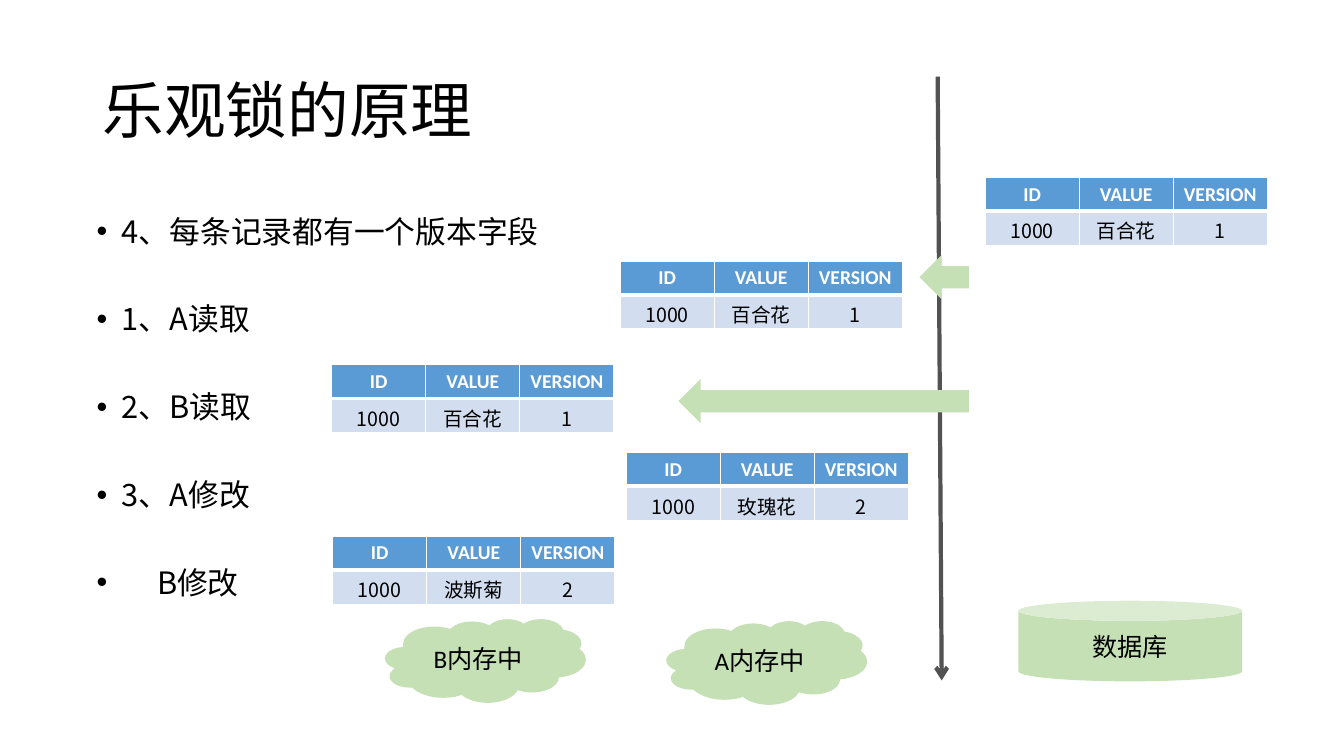
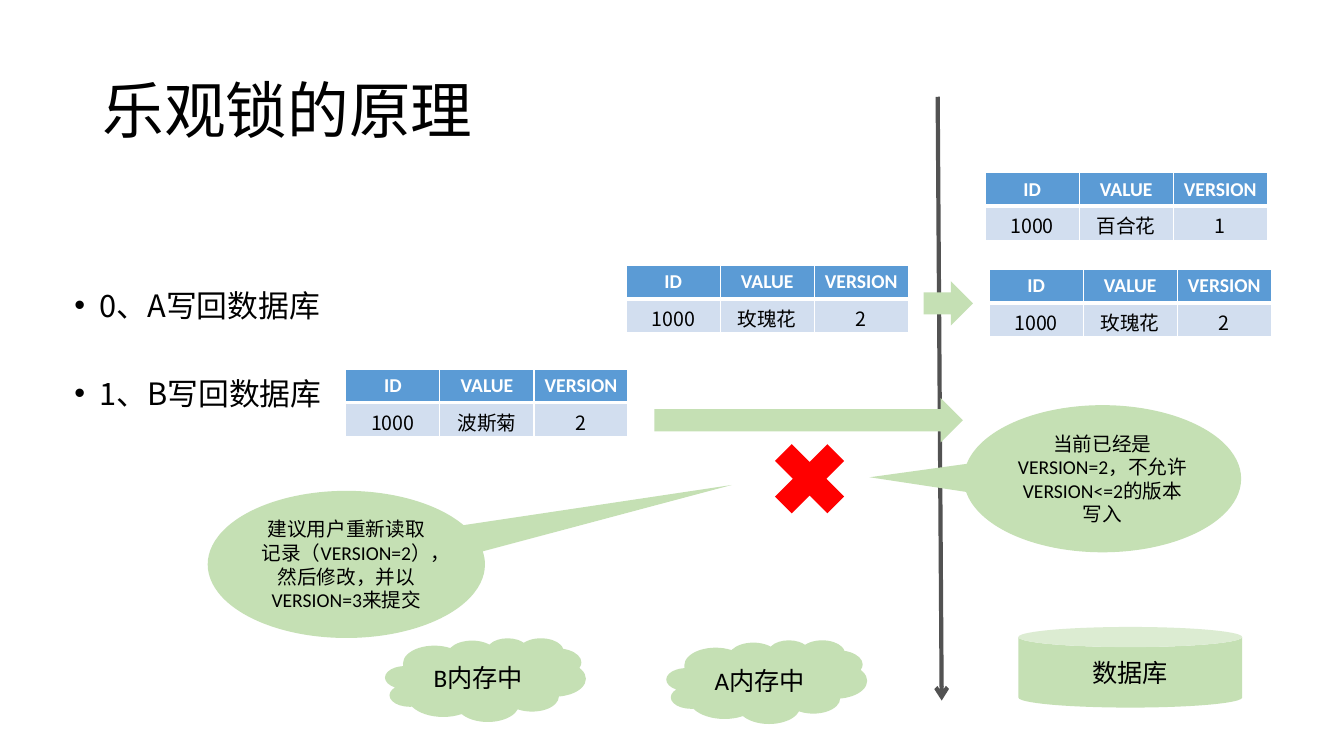
from pptx import Presentation
from pptx.dml.color import RGBColor
from pptx.enum.shapes import MSO_CONNECTOR, MSO_SHAPE
from pptx.enum.text import MSO_ANCHOR, PP_ALIGN
from pptx.oxml.ns import qn
from pptx.util import Inches, Pt
from lxml.etree import SubElement

COLORS = {
    "black": "000000",
    "white": "FFFFFF",
    "header": "5B9BD5",
    "row": "D2DEEF",
    "green": "C5E0B4",
    "timeline": "525252",
    "red": "FF0000",
}
LATIN = "Calibri"
CHINESE = "Noto Sans CJK SC"
FIELDS = ("ID", "VALUE", "VERSION")
TABLE_WIDTH = 2.8
ROW_HEIGHTS = (0.33, 0.34)


def rgb(name):
    return RGBColor.from_string(COLORS[name])


def write_text(paragraph, text, size=14, font=LATIN, color="black", bold=False,
               align=PP_ALIGN.CENTER, line_spacing=None, space_before=None):
    paragraph.alignment = align
    if line_spacing is not None:
        paragraph.line_spacing = line_spacing
    if space_before is not None:
        paragraph.space_before = Pt(space_before)
    run = paragraph.add_run()
    run.text = text
    run.font.size = Pt(size)
    run.font.bold = bold
    run.font.name = font
    run.font.color.rgb = rgb(color)
    SubElement(run._r.get_or_add_rPr(), qn("a:ea"), typeface=CHINESE)


def add_text_frame(slide, left, top, width, height):
    box = slide.shapes.add_textbox(Inches(left), Inches(top), Inches(width), Inches(height))
    box.text_frame.word_wrap = True
    return box.text_frame


def add_title(slide, text):
    frame = add_text_frame(slide, 0.92, 0.4, 11.5, 1.45)
    frame.vertical_anchor = MSO_ANCHOR.MIDDLE
    write_text(frame.paragraphs[0], text, size=44, font=CHINESE,
               align=PP_ALIGN.LEFT, line_spacing=0.9)


def add_bullets(slide, left, top, items):
    frame = add_text_frame(slide, left, top, 11.5, 4.76)
    for index, (text, indent) in enumerate(items):
        paragraph = frame.add_paragraph() if index else frame.paragraphs[0]
        write_text(paragraph, text, size=22, font=CHINESE, align=PP_ALIGN.LEFT,
                   line_spacing=2.0, space_before=10)
        properties = paragraph._p.get_or_add_pPr()
        properties.set("marL", str(Inches(indent)))
        properties.set("indent", str(-Inches(indent)))
        SubElement(properties, qn("a:buFont"), typeface="Arial")
        SubElement(properties, qn("a:buChar"), char="•")


def set_borders(cell, bottom_width):
    properties = cell._tc.get_or_add_tcPr()
    for side, width in (("L", 1), ("R", 1), ("T", 1), ("B", bottom_width)):
        line = SubElement(properties, qn(f"a:ln{side}"), w=str(Pt(width)))
        fill = SubElement(line, qn("a:solidFill"))
        SubElement(fill, qn("a:srgbClr"), val=COLORS["white"])


def add_record(slide, left, top, value, version):
    frame = slide.shapes.add_table(2, len(FIELDS), Inches(left), Inches(top),
                                   Inches(TABLE_WIDTH), Inches(sum(ROW_HEIGHTS)))
    table = frame.table
    table.horz_banding = False
    for row, height in zip(table.rows, ROW_HEIGHTS):
        row.height = Inches(height)
    header_style = {"color": "white", "bold": True}
    rows = (
        (FIELDS, "header", 3, header_style),
        (("1000", value, version), "row", 1, {"font": CHINESE}),
    )
    for row_index, (texts, fill, bottom_width, style) in enumerate(rows):
        for column_index, text in enumerate(texts):
            cell = table.cell(row_index, column_index)
            cell.margin_left = cell.margin_right = Inches(0.05)
            set_borders(cell, bottom_width)
            cell.fill.solid()
            cell.fill.fore_color.rgb = rgb(fill)
            write_text(cell.text_frame.paragraphs[0], text, **style)


def add_figure(slide, kind, left, top, width, height, fill="green", text=None, size=18):
    shape = slide.shapes.add_shape(kind, Inches(left), Inches(top), Inches(width), Inches(height))
    shape.shadow.inherit = False
    shape.fill.solid()
    shape.fill.fore_color.rgb = rgb(fill)
    shape.line.fill.background()
    if text:
        shape.text_frame.word_wrap = True
        shape.text_frame.vertical_anchor = MSO_ANCHOR.MIDDLE
        write_text(shape.text_frame.paragraphs[0], text, size=size)
    return shape


def add_arrow(slide, left, top, width, rotation=0):
    arrow = add_figure(slide, MSO_SHAPE.RIGHT_ARROW, left, top, width, 0.44)
    arrow.rotation = rotation


def add_callout(slide, left, top, tip, text):
    callout = add_figure(slide, MSO_SHAPE.OVAL_CALLOUT, left, top, 2.75, 1.46,
                         text=text, size=14)
    callout.adjustments[0], callout.adjustments[1] = tip


def add_timeline(slide, top):
    connector = slide.shapes.add_connector(MSO_CONNECTOR.STRAIGHT, Inches(9.3), Inches(top),
                                           Inches(9.34), Inches(top + 5.99))
    connector.line.color.rgb = rgb("timeline")
    connector.line.width = Pt(3)
    SubElement(connector.line._get_or_add_ln(), qn("a:tailEnd"), type="arrow")
    SubElement(connector._element.spPr, qn("a:effectLst"))


def add_lock_slide(presentation, timeline_top, database_top, cloud_top):
    slide = presentation.slides.add_slide(presentation.slide_layouts[6])
    add_title(slide, "乐观锁的原理")
    add_timeline(slide, timeline_top)
    add_figure(slide, MSO_SHAPE.CAN, 10.1, database_top, 2.22, 0.8, text="数据库")
    add_figure(slide, MSO_SHAPE.CLOUD, 6.61, cloud_top + 0.02, 1.99, 0.83, text="A内存中")
    add_figure(slide, MSO_SHAPE.CLOUD, 3.82, cloud_top, 1.99, 0.83, text="B内存中")
    return slide


def build_read_slide(presentation):
    slide = add_lock_slide(presentation, 0.76, 5.96, 6.14)
    add_bullets(slide, 0.86, 1.69, (
        ("4、每条记录都有一个版本字段", 0.25),
        ("1、A读取", 0.25),
        ("2、B读取", 0.25),
        ("3、A修改", 0.25),
        ("B修改", 0.6),
    ))
    add_arrow(slide, 9.12, 2.53, 0.49, rotation=180)
    add_arrow(slide, 6.73, 3.76, 2.88, rotation=180)
    for record in (
        (9.77, 1.76, "百合花", "1"),
        (6.15, 2.59, "百合花", "1"),
        (3.29, 3.62, "百合花", "1"),
        (6.21, 4.49, "玫瑰花", "2"),
        (3.3, 5.32, "波斯菊", "2"),
    ):
        add_record(slide, *record)


def build_write_slide(presentation):
    slide = add_lock_slide(presentation, 0.96, 6.22, 6.33)
    add_bullets(slide, 0.64, 2.43, (
        ("0、A写回数据库", 0.25),
        ("1、B写回数据库", 0.25),
    ))
    add_arrow(slide, 9.16, 2.79, 0.49)
    add_arrow(slide, 6.49, 3.95, 3.06)
    for record in (
        (9.77, 1.71, "百合花", "1"),
        (6.21, 2.63, "玫瑰花", "2"),
        (3.43, 3.66, "波斯菊", "2"),
        (9.81, 2.67, "玫瑰花", "2"),
    ):
        add_record(slide, *record)
    add_figure(slide, MSO_SHAPE.MATH_MULTIPLY, 7.53, 4.25, 1, 1, fill="red")
    add_callout(slide, 9.56, 4.02, (-0.84, -0.01),
                "当前已经是VERSION=2，不允许VERSION<=2的版本写入")
    add_callout(slide, 2.06, 4.87, (1.39, -0.54),
                "建议用户重新读取记录（VERSION=2），然后修改，并以VERSION=3来提交")


def main():
    presentation = Presentation()
    presentation.slide_width = Inches(13.33)
    presentation.slide_height = Inches(7.5)
    build_read_slide(presentation)
    build_write_slide(presentation)
    presentation.save("out.pptx")


if __name__ == "__main__":
    main()
